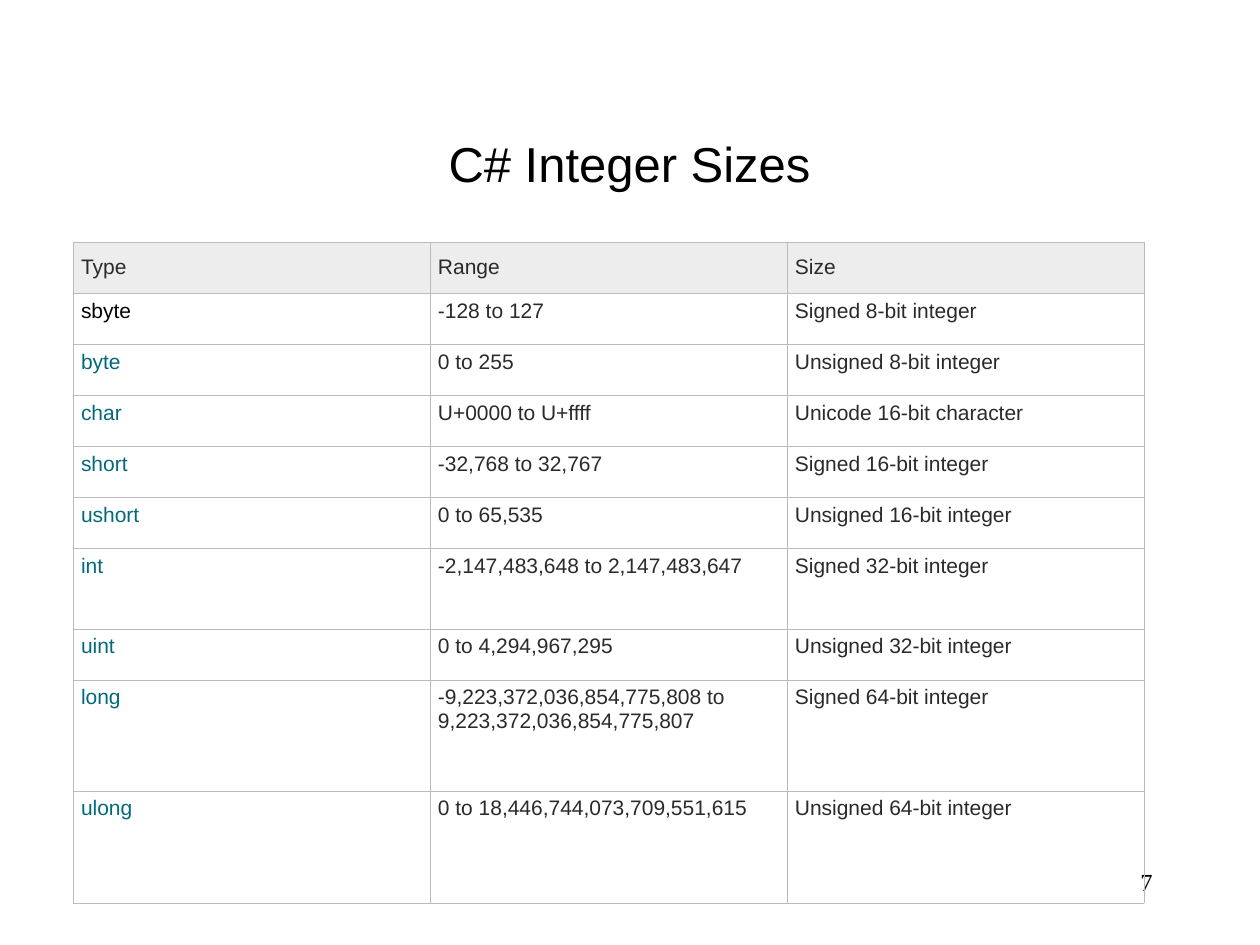
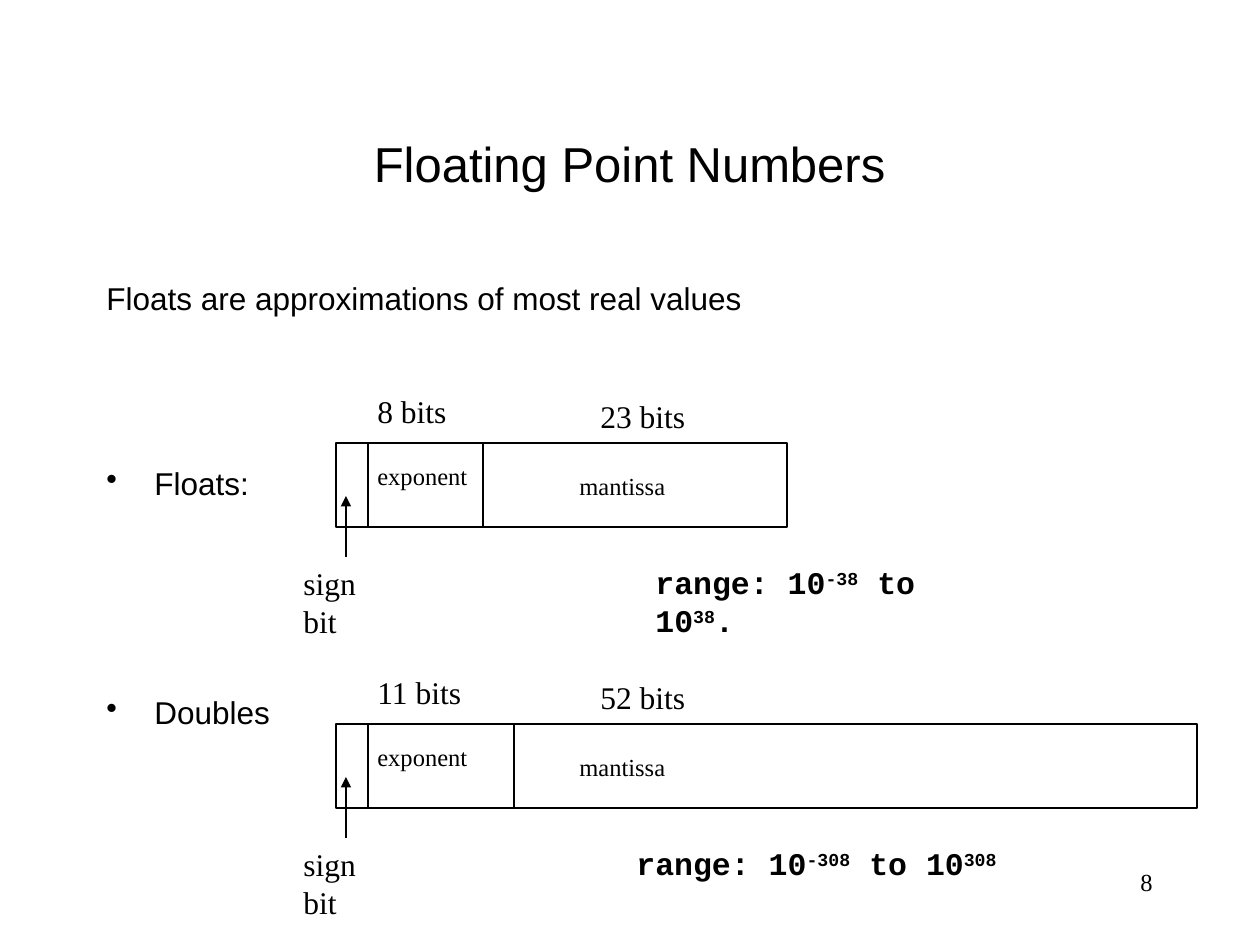
from dataclasses import dataclass
from lxml.etree import SubElement
from pptx import Presentation
from pptx.dml.color import RGBColor
from pptx.enum.shapes import MSO_CONNECTOR, MSO_SHAPE
from pptx.enum.text import MSO_ANCHOR, MSO_AUTO_SIZE, PP_ALIGN
from pptx.oxml import parse_xml
from pptx.oxml.ns import nsdecls, qn
from pptx.util import Emu, Pt

SCALE = 914400 / 126
BLACK, INK, TEAL = "000000", "2A2A2A", "03697A"
GREY, EDGE = "EDEDED", "BBBBBB"
SANS, SERIF, MONO = "Arial", "Times New Roman", "Courier New"
LEFT, WIDE = 94, 1071

HEAD = ("Type", "Range", "Size")
TYPES = (
    ("sbyte", "-128 to 127", "Signed 8-bit integer"),
    ("byte", "0 to 255", "Unsigned 8-bit integer"),
    ("char", "U+0000 to U+ffff", "Unicode 16-bit character"),
    ("short", "-32,768 to 32,767", "Signed 16-bit integer"),
    ("ushort", "0 to 65,535", "Unsigned 16-bit integer"),
    ("int", "-2,147,483,648 to 2,147,483,647", "Signed 32-bit integer"),
    ("uint", "0 to 4,294,967,295", "Unsigned 32-bit integer"),
    ("long", "-9,223,372,036,854,775,808 to 9,223,372,036,854,775,807",
     "Signed 64-bit integer"),
    ("ulong", "0 to 18,446,744,073,709,551,615", "Unsigned 64-bit integer"),
)
ROW = 51
TALL = {"int": 81, "long": 111, "ulong": 112}


@dataclass(frozen=True)
class Layout:
    top: int
    width: int
    split: int
    power: str
    power_w: int
    fraction: str
    span: str
    span_x: int
    span_w: int


FLOAT = Layout(443, 451, 483, "8 bits", 95, "23 bits",
               "range: 10^-38^ to 10^38^.", 643, 382)
DOUBLE = Layout(724, 861, 514, "11 bits", 110, "52 bits",
                "range: 10^-308^ to 10^308^", 624, 386)


def px(value: int) -> Emu:
    return Emu(round(value * SCALE))


def color(code: str) -> RGBColor:
    return RGBColor.from_string(code)


def write(frame, text: str, *, size=18, font=SANS, ink=BLACK, bold=False,
          align=PP_ALIGN.LEFT, before=0, indent=0, bullet=False) -> None:
    para = frame.paragraphs[0]
    if para.runs:
        para = frame.add_paragraph()
    para.alignment = align
    para.space_before = Pt(before)
    props = para._p.get_or_add_pPr()
    if indent:
        props.set("marL", str(px(indent)))
        props.set("indent", str(-px(indent)))
    if bullet:
        SubElement(props, qn("a:buChar")).set("char", "•")
    for spot, part in enumerate(text.split("^")):
        if not part:
            continue
        run = para.add_run()
        run.text = part
        run.font.size = Pt(size)
        run.font.name = font
        run.font.bold = bold
        run.font.color.rgb = color(ink)
        if spot % 2:
            run._r.get_or_add_rPr().set("baseline", "30000")


def box(slide, x: int, y: int, w: int, h: int, wrap=True):
    frame = slide.shapes.add_textbox(px(x), px(y), px(w), px(h)).text_frame
    frame.word_wrap = wrap
    frame.auto_size = MSO_AUTO_SIZE.NONE if wrap else MSO_AUTO_SIZE.SHAPE_TO_FIT_TEXT
    return frame


def label(slide, text: str, x: int, y: int, w: int, *, size=18, **style) -> None:
    height = 50 if size == 18 else 43
    write(box(slide, x, y, w, height, False), text,
          size=size, **{"font": SERIF, **style})


def line(slide, x: int, start: int, end: int, arrow=False) -> None:
    link = slide.shapes.add_connector(
        MSO_CONNECTOR.STRAIGHT, px(x), px(start), px(x), px(end))
    link.line.color.rgb = color(BLACK)
    link.line.width = Pt(0.75)
    if arrow:
        SubElement(link.line._get_or_add_ln(), qn("a:tailEnd")).set("type", "triangle")
    SubElement(link._element.spPr, qn("a:effectLst"))


def page(deck, title: str, number: int):
    slide = deck.slides.add_slide(deck.slide_layouts[6])
    frame = box(slide, LEFT, 84, WIDE, 157)
    frame.vertical_anchor = MSO_ANCHOR.MIDDLE
    write(frame, title, size=28, align=PP_ALIGN.CENTER)
    write(box(slide, 903, 861, 262, 63), str(number),
          size=14, font=SERIF, align=PP_ALIGN.RIGHT)
    return slide


def border(cell) -> None:
    props = cell._tc.get_or_add_tcPr()
    for side in ("lnL", "lnR", "lnT", "lnB"):
        props.append(parse_xml(
            f'<a:{side} {nsdecls("a")} w="{Pt(0.34)}"><a:solidFill>'
            f'<a:srgbClr val="{EDGE}"/></a:solidFill></a:{side}>'))


def fill(cell, text: str, ink: str, head: bool) -> None:
    cell.margin_left = cell.margin_right = px(8)
    cell.margin_top = cell.margin_bottom = px(6)
    cell.vertical_anchor = MSO_ANCHOR.MIDDLE if head else MSO_ANCHOR.TOP
    border(cell)
    if head:
        cell.fill.solid()
        cell.fill.fore_color.rgb = color(GREY)
    else:
        cell.fill.background()
    write(cell.text_frame, text, size=12, ink=ink)


def sizes(slide) -> None:
    rows = (HEAD, *TYPES)
    tall = [TALL.get(row[0], ROW) for row in rows]
    table = slide.shapes.add_table(
        len(rows), len(HEAD), px(73), px(242), px(WIDE), px(sum(tall))).table
    table.first_row = table.horz_banding = False
    for column in table.columns:
        column.width = px(WIDE // len(HEAD))
    for r, row in enumerate(rows):
        table.rows[r].height = px(tall[r])
        for c, text in enumerate(row):
            ink = INK
            if r and c == 0:
                ink = BLACK if text == "sbyte" else TEAL
            fill(table.cell(r, c), text, ink, r == 0)


def draw(slide, part: Layout) -> None:
    top, base = part.top, part.top + 84
    frame = slide.shapes.add_shape(
        MSO_SHAPE.RECTANGLE, px(336), px(top), px(part.width), px(base - top))
    frame.shadow.inherit = False
    frame.fill.background()
    frame.line.color.rgb = color(BLACK)
    frame.line.width = Pt(0.75)
    for x in (368, part.split):
        line(slide, x, top, base)
    line(slide, 346, top + 114, top + 53, arrow=True)
    label(slide, "sign bit", 291, top + 115, 118)
    label(slide, "exponent", 365, top + 12, 115, size=14)
    label(slide, "mantissa", 567, top + 22, 111, size=14)
    label(slide, part.power, 365, top - 57, part.power_w)
    label(slide, part.fraction, 588, top - 52, 110)
    label(slide, part.span, part.span_x, top + 114, part.span_w,
          font=MONO, bold=True)


def main() -> None:
    deck = Presentation()
    deck.slide_width, deck.slide_height = px(1260), px(945)
    sizes(page(deck, "C# Integer Sizes", 7))
    slide = page(deck, "Floating Point Numbers", 8)
    body = box(slide, LEFT, 273, WIDE, 567)
    write(body, "Floats are approximations of most real values", indent=48)
    write(body, "Floats:", before=84, indent=48, bullet=True)
    write(body, "Doubles", before=109.5, indent=48, bullet=True)
    for part in (FLOAT, DOUBLE):
        draw(slide, part)
    deck.save("out.pptx")


if __name__ == "__main__":
    main()
